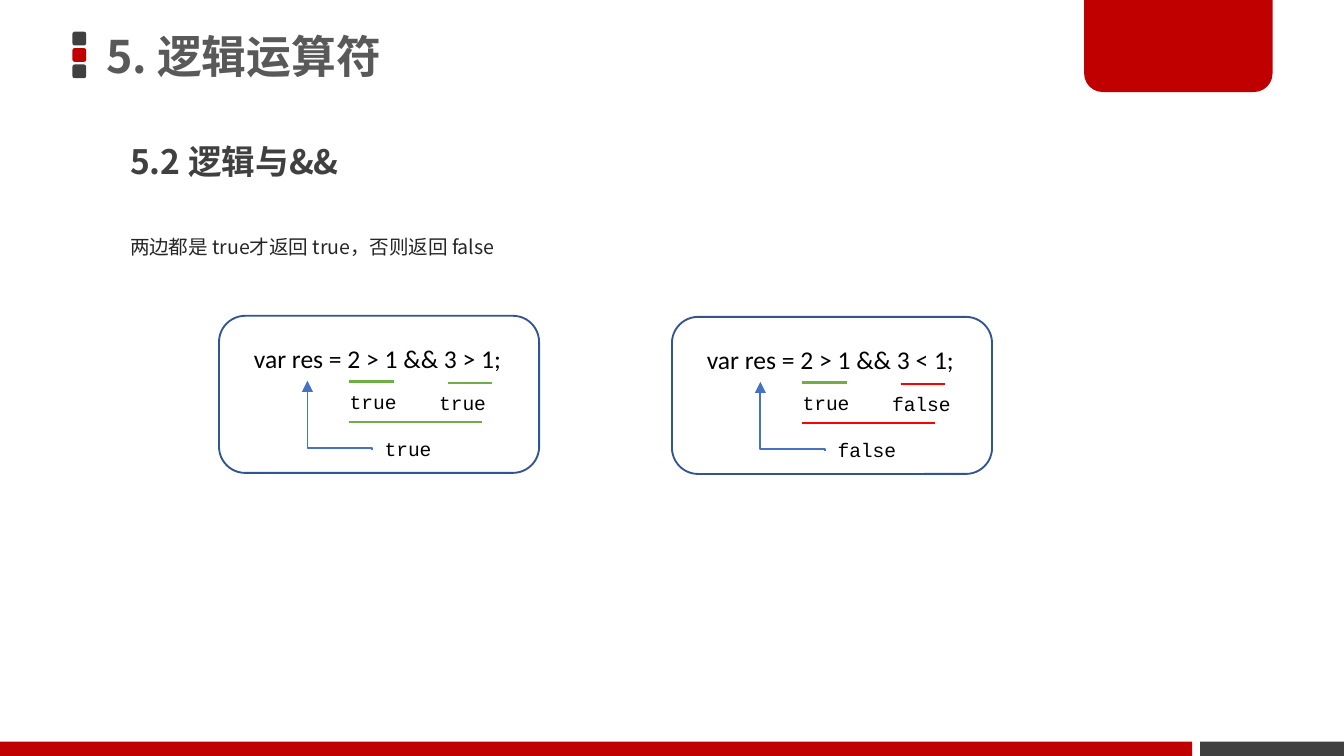
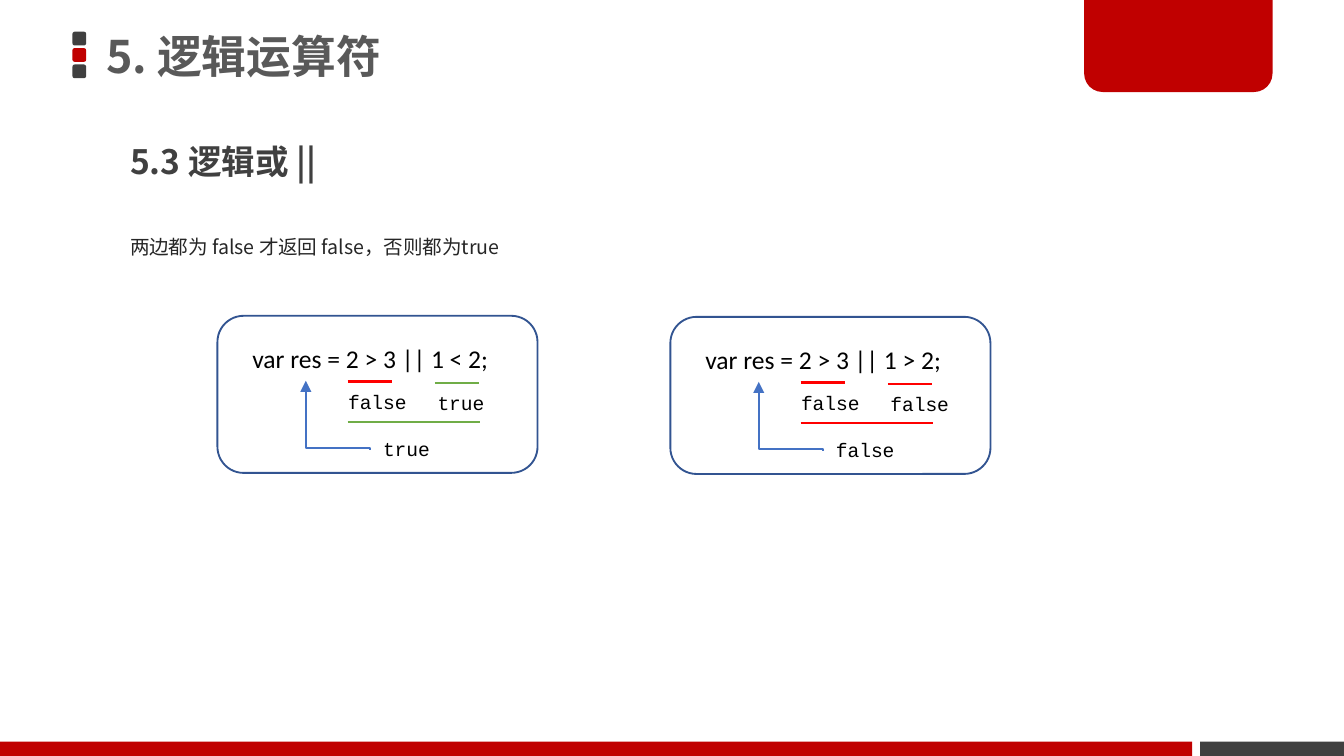
"""Builds two slides on the logical operators && and ||."""
from dataclasses import dataclass

import lxml.etree
import pptx
import pptx.dml.color
import pptx.enum.shapes
import pptx.enum.text
import pptx.oxml.ns
import pptx.shapes.autoshape
import pptx.shapes.connector
import pptx.slide
import pptx.text.text
import pptx.util

Cm = pptx.util.Cm
Pt = pptx.util.Pt
RGBColor = pptx.dml.color.RGBColor
Shape = pptx.enum.shapes.MSO_SHAPE
Connector = pptx.enum.shapes.MSO_CONNECTOR
qn = pptx.oxml.ns.qn

RED = RGBColor(0xC0, 0x00, 0x00)
CHARCOAL = RGBColor(0x40, 0x40, 0x40)
TITLE_GREY = RGBColor(0x59, 0x59, 0x59)
RULE_GREY = RGBColor(0x26, 0x26, 0x26)
BLACK = RGBColor(0x00, 0x00, 0x00)
WHITE = RGBColor(0xFF, 0xFF, 0xFF)
CARD_BLUE = RGBColor(0x32, 0x54, 0x91)
ARROW_BLUE = RGBColor(0x44, 0x72, 0xC4)
TRUTH_COLOURS = {"true": RGBColor(0x70, 0xAD, 0x47), "false": RGBColor(0xFF, 0x00, 0x00)}

HEADING = "5. 逻辑运算符"


@dataclass(frozen=True)
class TextStyle:
    """Font and spacing of a paragraph."""

    font: str
    size: float
    colour: RGBColor
    bold: bool = False
    line_spacing: float = 1.0
    space_before: float = 0


@dataclass(frozen=True)
class Box:
    """Place and size in centimetres."""

    left: float
    top: float
    width: float
    height: float


@dataclass(frozen=True)
class Example:
    """An expression with the values of its two sides and its result."""

    left: float
    top: float
    code: str
    first: str
    second: str
    result: str


@dataclass(frozen=True)
class Operator:
    """One slide about one operator."""

    name: str
    rule: str
    second_operand_x: float
    examples: tuple[Example, ...]


CJK_FONT = "Noto Sans CJK SC"
TITLE_STYLE = TextStyle(CJK_FONT, 24, TITLE_GREY, True, 0.9)
OPERATOR_STYLE = TextStyle(CJK_FONT, 18, CHARCOAL, True, 0.9, 7.5)
RULE_STYLE = TextStyle(CJK_FONT, 10.5, RULE_GREY, False, 1.5, 7.5)
CODE_STYLE = TextStyle("Calibri", 13.7, BLACK)
VALUE_STYLE = TextStyle("Courier New", 10.5, BLACK)

OPERATORS = (
    Operator("5.2 逻辑与&&", "两边都是 true才返回 true，否则返回 false", 4.32, (
        Example(4.14, 5.97, "var res = 2 > 1 && 3 > 1;", "true", "true", "true"),
        Example(12.7, 5.99, "var res = 2 > 1 && 3 < 1;", "true", "false", "false"),
    )),
    Operator("5.3 逻辑或 ||", "两边都为 false 才返回 false，否则都为true", 4.11, (
        Example(4.11, 5.97, "var res = 2 > 3 || 1 < 2;", "false", "true", "true"),
        Example(12.67, 5.99, "var res = 2 > 3 || 1 > 2;", "false", "false", "false"),
    )),
)


def write(frame: pptx.text.text.TextFrame, text: str, style: TextStyle) -> None:
    """Put one styled, left-aligned paragraph in a text frame."""
    frame.word_wrap = True
    frame.text = text
    paragraph = frame.paragraphs[0]
    paragraph.alignment = pptx.enum.text.PP_ALIGN.LEFT
    paragraph.line_spacing = style.line_spacing
    paragraph.space_before = Pt(style.space_before)
    font = paragraph.font
    font.size = Pt(style.size)
    font.bold = style.bold
    font.color.rgb = style.colour
    font.name = style.font
    defaults = paragraph._p.pPr.find(qn("a:defRPr"))
    lxml.etree.SubElement(defaults, qn("a:ea"), typeface=style.font)


def add_text(slide: pptx.slide.Slide, box: Box, text: str, style: TextStyle) -> None:
    """Add a wrapped text box."""
    frame = slide.shapes.add_textbox(
        Cm(box.left), Cm(box.top), Cm(box.width), Cm(box.height)).text_frame
    frame.margin_right = 0
    write(frame, text, style)


def add_block(slide: pptx.slide.Slide, kind: Shape, box: Box,
              fill: RGBColor) -> pptx.shapes.autoshape.Shape:
    """Add a filled preset shape without outline or shadow."""
    block = slide.shapes.add_shape(
        kind, Cm(box.left), Cm(box.top), Cm(box.width), Cm(box.height))
    block.shadow.inherit = False
    block.fill.solid()
    block.fill.fore_color.rgb = fill
    block.line.fill.background()
    return block


def add_line(slide: pptx.slide.Slide, kind: Connector, box: Box, colour: RGBColor,
             weight: float) -> pptx.shapes.connector.Connector:
    """Add a connector across a box, without shadow."""
    line = slide.shapes.add_connector(
        kind, Cm(box.left), Cm(box.top),
        Cm(box.left + box.width), Cm(box.top + box.height))
    line.line.color.rgb = colour
    line.line.width = Pt(weight)
    lxml.etree.SubElement(line._element.spPr, qn("a:effectLst"))
    return line


def add_result_arrow(slide: pptx.slide.Slide, box: Box) -> None:
    """Add the bent arrow that runs left from the result and up to the variable."""
    arrow = add_line(slide, Connector.ELBOW, box, ARROW_BLUE, 1)
    properties = arrow._element.spPr
    frame = properties.find(qn("a:xfrm"))
    frame.set("rot", "16200000")
    frame.set("flipV", "1")
    geometry = properties.find(qn("a:prstGeom"))
    adjustments = geometry.find(qn("a:avLst"))
    if adjustments is None:
        adjustments = lxml.etree.SubElement(geometry, qn("a:avLst"))
    lxml.etree.SubElement(adjustments, qn("a:gd"), name="adj1", fmla="val 1800")
    lxml.etree.SubElement(properties.find(qn("a:ln")), qn("a:tailEnd"), type="triangle")


def add_frame(slide: pptx.slide.Slide) -> None:
    """Draw the title, markers, corner tab and footer bands."""
    title = slide.shapes.title
    title.left, title.top, title.width, title.height = Cm(1.75), Cm(0), Cm(18.72), Cm(2.21)
    title.text_frame.vertical_anchor = pptx.enum.text.MSO_ANCHOR.MIDDLE
    write(title.text_frame, HEADING, TITLE_STYLE)
    for row, colour in enumerate((CHARCOAL, RED, CHARCOAL)):
        add_block(slide, Shape.ROUNDED_RECTANGLE,
                  Box(1.37, 0.6 + 0.31 * row, 0.26, 0.26), colour)
    tab = add_block(slide, Shape.ROUND_2_SAME_RECTANGLE, Box(20.49, 0, 3.56, 1.74), RED)
    tab.adjustments[0] = 0
    tab.adjustments[1] = 0.2
    add_block(slide, Shape.RECTANGLE, Box(0, 14.02, 22.53, 0.27), RED)
    add_block(slide, Shape.RECTANGLE, Box(22.68, 14.02, 2.72, 0.27), CHARCOAL)


def add_example(slide: pptx.slide.Slide, example: Example, second_operand_x: float) -> None:
    """Draw a card that evaluates an expression step by step."""
    def place(x: float, y: float, width: float, height: float = 0) -> Box:
        """Return a box measured from the corner of the card."""
        return Box(example.left + x, example.top + y, width, height)

    card = add_block(slide, Shape.ROUNDED_RECTANGLE, place(0, 0, 6.05, 2.97), WHITE)
    card.line.color.rgb = CARD_BLUE
    card.line.width = Pt(1)
    add_text(slide, place(0.41, 0.38, 5.28, 0.84), example.code, CODE_STYLE)
    for underline, value, weight in (
        (place(2.46, 1.24, 0.84), example.first, 1.5),
        (place(second_operand_x, 1.27, 0.84), example.second, 1.5),
        (place(2.46, 2.01, 2.51), example.result, 1),
    ):
        add_line(slide, Connector.STRAIGHT, underline, TRUTH_COLOURS[value], weight)
    for x, y, value in (
        (2.22, 1.27, example.first),
        (3.91, 1.29, example.second),
        (2.88, 2.16, example.result),
    ):
        add_text(slide, place(x, y, 1.7, 0.71), value, VALUE_STYLE)
    add_result_arrow(slide, place(1.63, 1.27, 1.3, 1.22))


def main() -> None:
    """Build and save the presentation."""
    deck = pptx.Presentation()
    deck.slide_width, deck.slide_height = Cm(25.4), Cm(14.29)
    title_only = deck.slide_layouts[5]
    for operator in OPERATORS:
        slide = deck.slides.add_slide(title_only)
        add_frame(slide)
        add_text(slide, Box(2.21, 2.62, 18.11, 1.5), operator.name, OPERATOR_STYLE)
        add_text(slide, Box(2.21, 4.09, 18.24, 1.24), operator.rule, RULE_STYLE)
        for example in operator.examples:
            add_example(slide, example, operator.second_operand_x)
    deck.save("out.pptx")


if __name__ == "__main__":
    main()
